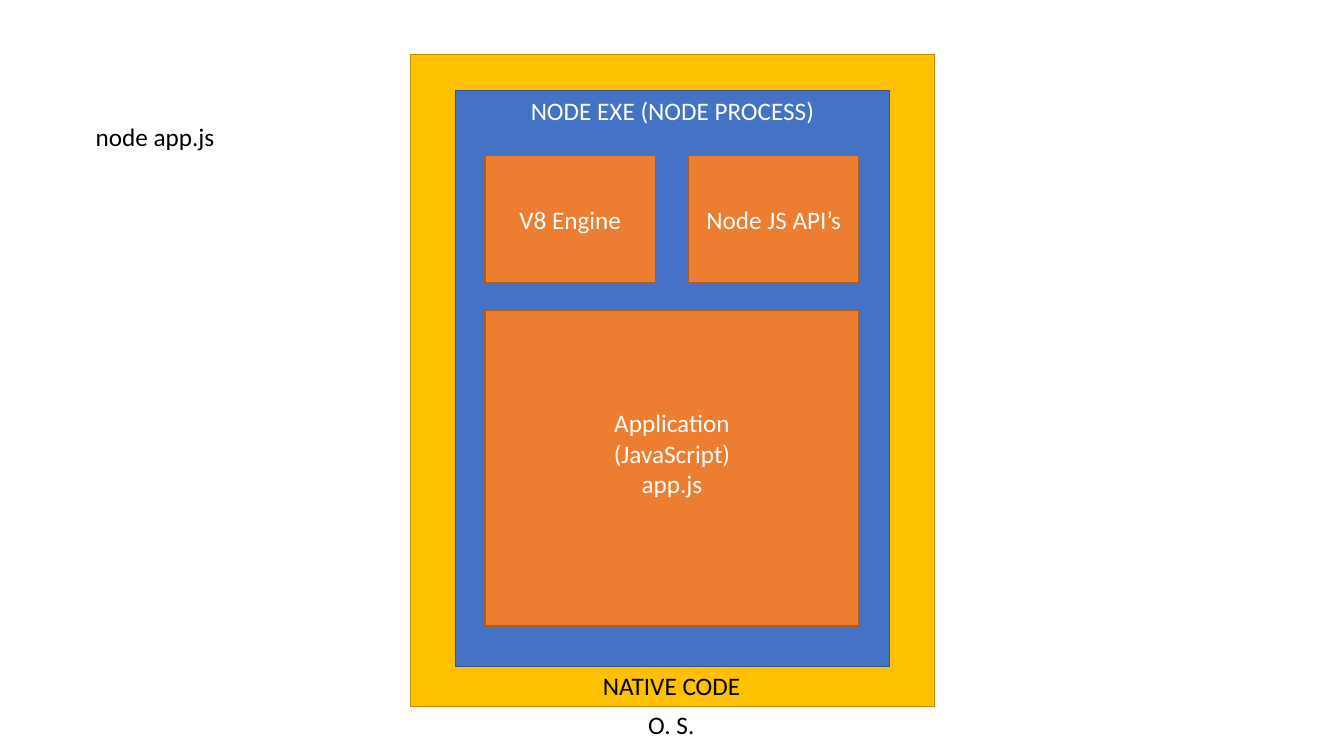
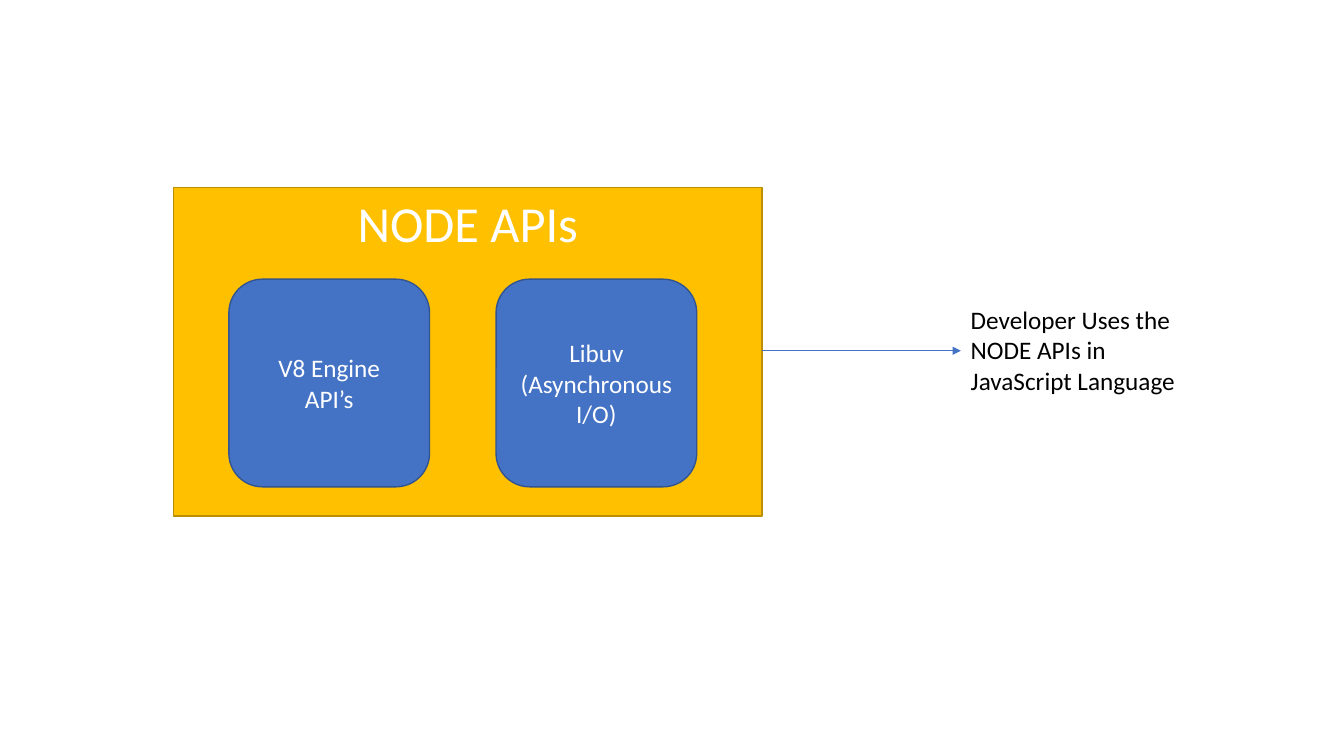
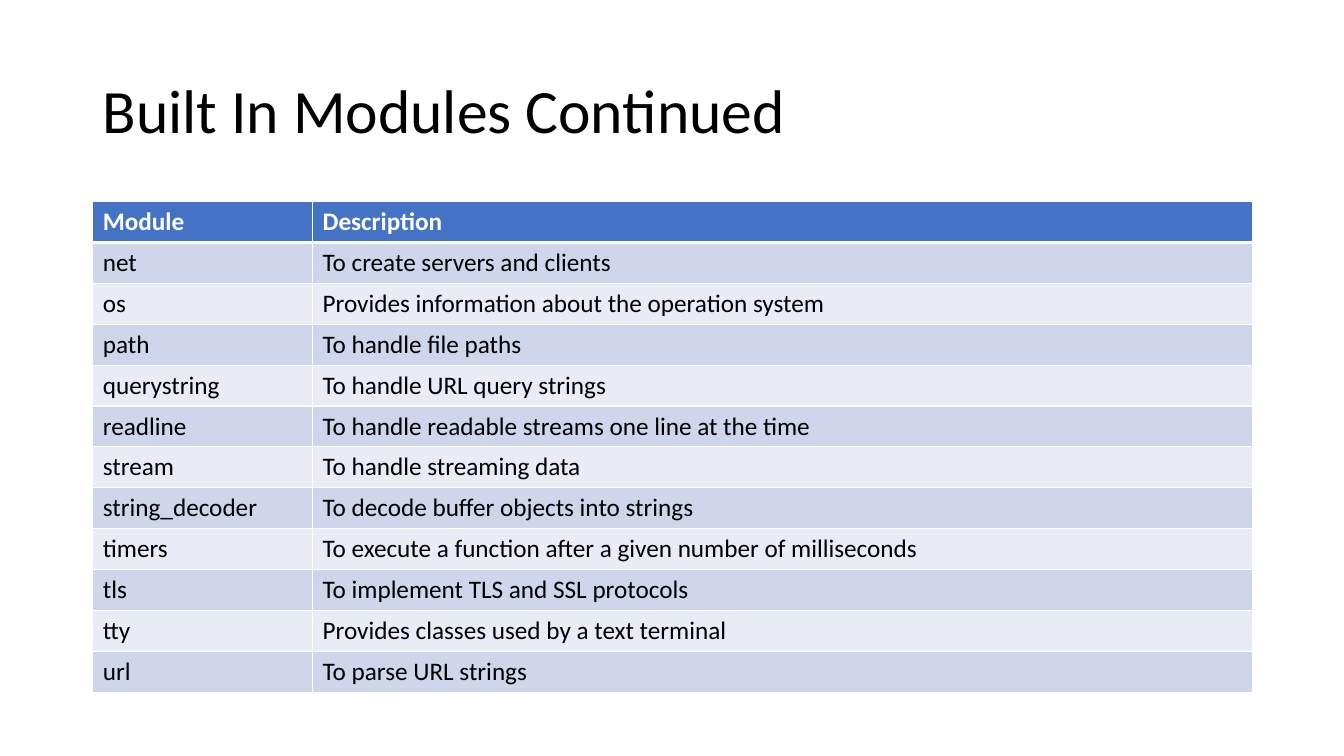
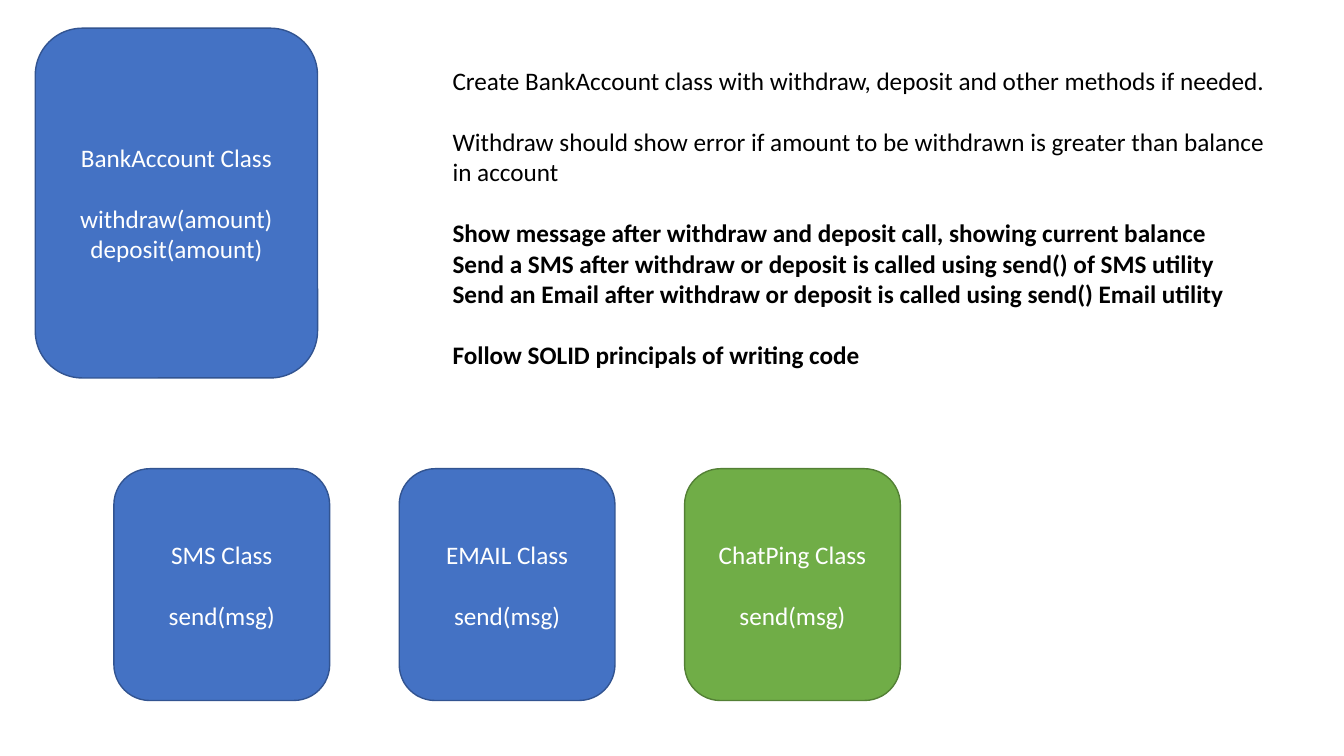
from lxml import etree
from pptx import Presentation
from pptx import util as u
from pptx.dml.color import RGBColor
from pptx.enum import shapes, text
from pptx.oxml import ns

PX = 9144
FONT = "Calibri"
BLACK = RGBColor(0x00, 0x00, 0x00)
WHITE = RGBColor(0xFF, 0xFF, 0xFF)
BLUE = RGBColor(0x44, 0x72, 0xC4)
NAVY = RGBColor(0x32, 0x54, 0x91)
GOLD = RGBColor(0xFF, 0xC0, 0x00)
OCHRE = RGBColor(0xBD, 0x8E, 0x00)
CORAL = RGBColor(0xED, 0x7D, 0x31)
RUST = RGBColor(0xAF, 0x5C, 0x24)
GREEN = RGBColor(0x70, 0xAD, 0x47)
MOSS = RGBColor(0x53, 0x80, 0x35)
BANDS = RGBColor(0xE9, 0xEB, 0xF5), RGBColor(0xCF, 0xD5, 0xEA)
EDGES = {BLUE: NAVY, GOLD: OCHRE, CORAL: RUST, GREEN: MOSS}
RECT = shapes.MSO_SHAPE.RECTANGLE
ROUND = shapes.MSO_SHAPE.ROUNDED_RECTANGLE
TOP = text.MSO_ANCHOR.TOP
MIDDLE = text.MSO_ANCHOR.MIDDLE
LEFT = text.PP_ALIGN.LEFT
CENTER = text.PP_ALIGN.CENTER


def px(*sizes):
    return [u.Emu(size * PX) for size in sizes]


class Deck:
    """Hold the shared style and draw elements on the current slide."""

    def __init__(self):
        self.show = Presentation()
        self.show.slide_width, self.show.slide_height = px(1333, 750)
        self.slide = None

    def start(self, title=None):
        layout = self.show.slide_layouts[5 if title else 6]
        self.slide = self.show.slides.add_slide(layout)
        if title:
            head = self.slide.shapes.title
            head.left, head.top, head.width, head.height = px(92, 40, 1150, 145)
            head.text_frame.vertical_anchor = MIDDLE
            para, = self.fill_text(head.text_frame, [title], size=44)
            para.line_spacing = 0.9

    def fill_text(self, frame, blocks, color=BLACK, size=18, align=LEFT):
        paras = []
        for block in blocks:
            for row, line in enumerate(block.split("\n")):
                para = frame.add_paragraph() if paras else frame.paragraphs[0]
                para.text = line
                para.alignment = align
                para.font.name = FONT
                para.font.size = u.Pt(size)
                para.font.color.rgb = color
                if paras and row == 0:
                    para.space_before = u.Pt(22)
                paras.append(para)
        return paras

    def label(self, area, *blocks, wrap=False):
        frame = self.slide.shapes.add_textbox(*px(*area)).text_frame
        frame.word_wrap = wrap
        frame.auto_size = text.MSO_AUTO_SIZE.SHAPE_TO_FIT_TEXT
        return self.fill_text(frame, blocks)

    def box(self, area, fill, *blocks, kind=RECT, anchor=MIDDLE, size=18):
        box = self.slide.shapes.add_shape(kind, *px(*area))
        box.shadow.inherit = False
        box.fill.solid()
        box.fill.fore_color.rgb = fill
        box.line.color.rgb = EDGES[fill]
        box.line.width = u.Pt(1)
        box.text_frame.vertical_anchor = anchor
        self.fill_text(box.text_frame, blocks, WHITE, size, CENTER)
        return box

    def arrow(self, *ends):
        link = self.slide.shapes.add_connector(shapes.MSO_CONNECTOR.STRAIGHT, *px(*ends))
        link.line.color.rgb = BLUE
        link.line.width = u.Pt(0.5)
        props = link._element.spPr
        etree.SubElement(props.find(ns.qn("a:ln")), ns.qn("a:tailEnd"), type="triangle")
        etree.SubElement(props, ns.qn("a:effectLst"))

    def border(self, cell, row):
        props = cell._tc.get_or_add_tcPr()
        for side in "LRTB":
            thick = (row, side) in ((0, "B"), (1, "T"))
            width = u.Pt(3 if thick else 1)
            line = etree.SubElement(props, ns.qn("a:ln" + side), w=str(width))
            fill = etree.SubElement(line, ns.qn("a:solidFill"))
            etree.SubElement(fill, ns.qn("a:srgbClr"), val=str(WHITE))

    def table(self, area, widths, rows):
        grid = self.slide.shapes.add_table(len(rows), len(widths), *px(*area)).table
        for col, width in zip(grid.columns, px(*widths)):
            col.width = width
        for r, row in enumerate(rows):
            for c, words in enumerate(row):
                cell = grid.cell(r, c)
                self.border(cell, r)
                cell.fill.solid()
                cell.fill.fore_color.rgb = BANDS[r % 2] if r else BLUE
                para, = self.fill_text(cell.text_frame, [words], BLACK if r else WHITE)
                para.font.bold = r == 0


def process(deck):
    deck.start()
    deck.label((85, 115, 139, 40), "node app.js")
    deck.box((407, 54, 520, 647), GOLD)
    deck.label((633, 699, 66, 40), "O. S.")
    deck.label((588, 660, 158, 40), "NATIVE CODE")
    deck.box((452, 90, 430, 571), BLUE, "NODE EXE (NODE PROCESS)", anchor=TOP)
    for col, name in enumerate(("V8 Engine", "Node JS API’s")):
        deck.box((481 + 202 * col, 154, 169, 127), CORAL, name)
    app = deck.box((481, 308, 371, 313), CORAL, "Application\n(JavaScript)\napp.js")
    app.text_frame.margin_bottom, = px(35)


def apis(deck):
    deck.start()
    deck.box((172, 186, 584, 326), GOLD, "NODE APIs", anchor=TOP, size=36)
    deck.arrow(756, 348, 953, 348)
    deck.label((953, 297, 243, 101),
               "Developer Uses the NODE APIs in JavaScript Language", wrap=True)
    for col, name in enumerate(("V8 Engine\nAPI’s", "Libuv\n(Asynchronous I/O)")):
        deck.box((227 + 265 * col, 277, 199, 206), BLUE, name, kind=ROUND)


def builtins(deck):
    deck.start("Built In Modules Continued")
    deck.table((92, 200, 1150, 487), (218, 932), (
        ("Module", "Description"),
        ("net", "To create servers and clients"),
        ("os", "Provides information about the operation system"),
        ("path", "To handle file paths"),
        ("querystring", "To handle URL query strings"),
        ("readline", "To handle readable streams one line at the time"),
        ("stream", "To handle streaming data"),
        ("string_decoder", "To decode buffer objects into strings"),
        ("timers", "To execute a function after a given number of milliseconds"),
        ("tls", "To implement TLS and SSL protocols"),
        ("tty", "Provides classes used by a text terminal"),
        ("url", "To parse URL strings"),
    ))


def account(deck):
    deck.start()
    deck.box((35, 28, 280, 347), BLUE, "BankAccount Class",
             "withdraw(amount)\ndeposit(amount)", kind=ROUND)
    paras = deck.label(
        (439, 60, 841, 313),
        "Create BankAccount class with withdraw, deposit and other methods if needed.",
        "Withdraw should show error if amount to be withdrawn is greater than balance\n"
        "in account",
        "Show message after withdraw and deposit call, showing current balance\n"
        "Send a SMS after withdraw or deposit is called using send() of SMS utility\n"
        "Send an Email after withdraw or deposit is called using send() Email utility",
        "Follow SOLID principals of writing code")
    for para in paras[3:]:
        para.font.bold = True
    senders = ("SMS", BLUE), ("EMAIL", BLUE), ("ChatPing", GREEN)
    for col, (name, fill) in enumerate(senders):
        deck.box((113 + 283 * col, 465, 214, 230), fill,
                 f"{name} Class", "send(msg)", kind=ROUND)


def main():
    deck = Deck()
    for draw in (process, apis, builtins, account):
        draw(deck)
    deck.show.save("out.pptx")


if __name__ == "__main__":
    main()
